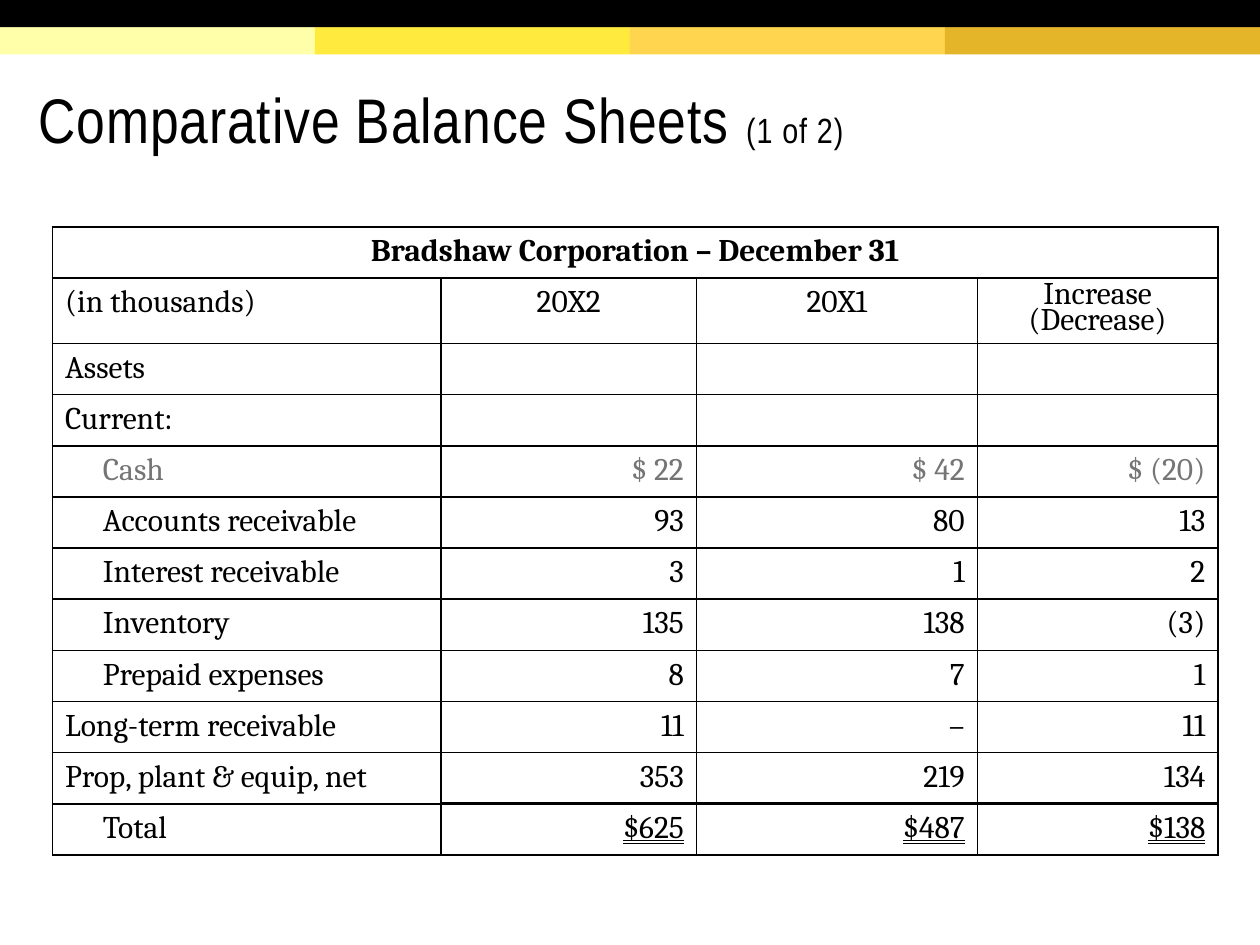
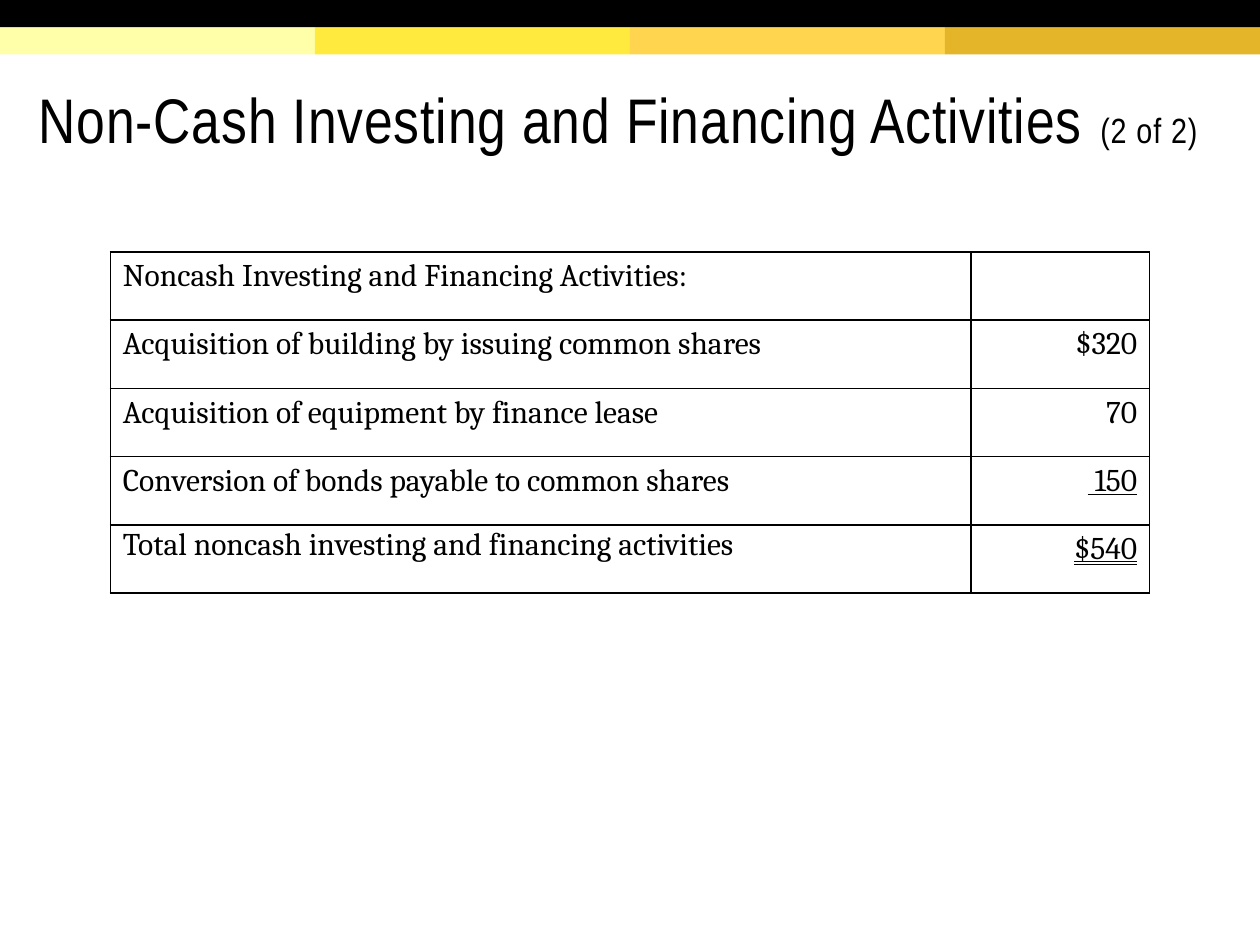
from lxml.etree import SubElement
from pptx import Presentation
from pptx.dml.color import RGBColor
from pptx.enum.shapes import MSO_SHAPE
from pptx.enum.text import MSO_ANCHOR, MSO_UNDERLINE, PP_ALIGN
from pptx.oxml.ns import qn
from pptx.util import Pt

COLORS = {"ink": "000000", "muted": "757575", "bar": "000000", "cream": "FFFFAA",
          "yellow": "FFEA3D", "amber": "FFD54F", "gold": "E4B429"}
STRIPES = ["cream", "yellow", "amber", "gold"]
TITLE_FONT, TABLE_FONT = "Arial Narrow", "Cambria"
SLIDE_W, SLIDE_H, BAND_H = 720, 540, 15.6

BALANCE = {
    "title": ("Comparative Balance Sheets ", "(1 of 2)"),
    "at": (30, 129.6), "cols": [222, 146, 160.5, 137.5], "row_h": 29.25,
    "rows": [
        ("Bradshaw Corporation – December 31", "", "", ""),
        ("(in thousands)", "20X2", "20X1", "Increase\n(Decrease)"),
        ("Assets", "", "", ""),
        ("Current:", "", "", ""),
        ("Cash", "$ 22", "$ 42", "$ (20)"),
        ("Accounts receivable", "93", "80", "13"),
        ("Interest receivable", "3", "1", "2"),
        ("Inventory", "135", "138", "(3)"),
        ("Prepaid expenses", "8", "7", "1"),
        ("Long-term receivable", "11", "–", "11"),
        ("Prop, plant & equip, net", "353", "219", "134"),
        ("Total", "$625", "$487", "$138"),
    ],
}
NONCASH = {
    "title": ("Non-Cash Investing and Financing Activities ", "(2 of 2)"),
    "at": (63, 144), "cols": [491.75, 102.25], "row_h": 39,
    "rows": [
        ("Noncash Investing and Financing Activities:", ""),
        ("Acquisition of building by issuing common shares", "$320"),
        ("Acquisition of equipment by finance lease", "70"),
        ("Conversion of bonds payable to common shares", " 150"),
        ("Total noncash investing and financing activities", "$540"),
    ],
}
INDENTED = {"Cash", "Accounts receivable", "Interest receivable", "Inventory",
            "Prepaid expenses", "Total"}


def rgb(name):
    return RGBColor.from_string(COLORS[name])


def style(p, font, size, color="ink"):
    for r in p.runs:
        r.font.name, r.font.size = font, Pt(size)
        r.font.color.rgb = rgb(color)


def add_band(s, x, y, w, color):
    sp = s.shapes.add_shape(MSO_SHAPE.RECTANGLE, Pt(x), Pt(y), Pt(w), Pt(BAND_H))
    sp.shadow.inherit = False
    sp.fill.solid()
    sp.fill.fore_color.rgb = rgb(color)
    sp.line.fill.background()


def add_title(s, parts):
    tf = s.shapes.add_textbox(Pt(15), Pt(34), Pt(683.5), Pt(70.5)).text_frame
    tf.word_wrap = True
    tf.vertical_anchor = MSO_ANCHOR.MIDDLE
    tf.margin_left = tf.margin_right = tf.margin_top = Pt(7.2)
    tf.margin_bottom = Pt(3.6)
    p = tf.paragraphs[0]
    p.line_spacing = 0.85
    for text in parts:
        p.add_run().text = text
    style(p, TITLE_FONT, 36)
    p.runs[1].font.size = Pt(20)
    for r in p.runs:
        r._r.get_or_add_rPr().set("spc", "50")


def set_borders(cell, **widths):
    """Draw all four edges 1 pt wide, or as given by side (L, R, T, B)."""
    for side in "LRTB":
        ln = SubElement(cell._tc.get_or_add_tcPr(), qn("a:ln" + side),
                        w=str(Pt(widths.get(side, 1))))
        SubElement(SubElement(ln, qn("a:solidFill")), qn("a:srgbClr"), val=COLORS["ink"])


def add_table(s, spec):
    rows, cols = spec["rows"], spec["cols"]
    x, y = spec["at"]
    table = s.shapes.add_table(len(rows), len(cols), Pt(x), Pt(y), Pt(sum(cols)),
                               Pt(spec["row_h"] * len(rows))).table
    table.first_row = table.horz_banding = False
    for column, w in zip(table.columns, cols):
        column.width = Pt(w)
    for i, row in enumerate(rows):
        table.rows[i].height = Pt(spec["row_h"])
        for j, text in enumerate(row):
            cell = table.cell(i, j)
            cell.text_frame.text = text
            for p in cell.text_frame.paragraphs:
                style(p, TABLE_FONT, 18, "muted" if row[0] == "Cash" else "ink")
                if j:
                    p.alignment = PP_ALIGN.RIGHT
                elif text in INDENTED:
                    p._p.get_or_add_pPr().set("marL", str(Pt(21.6)))
            set_borders(cell)
            cell.fill.background()
    for cell in list(table.rows[len(rows) - 1].cells)[1:]:
        cell.text_frame.paragraphs[0].runs[0].font.underline = MSO_UNDERLINE.DOUBLE_LINE
    return table


def rule_total(table):
    """Thicken the line between the last two rows, under the figures only."""
    last = len(table.rows) - 1
    for j in range(1, len(table.columns)):
        for i, side in ((last - 1, "B"), (last, "T")):
            tc_pr = table.cell(i, j)._tc.tcPr
            tc_pr.find(qn("a:ln" + side)).set("w", str(Pt(2.25)))


def add_slide(prs, spec):
    s = prs.slides.add_slide(prs.slide_layouts[6])
    w = SLIDE_W / len(STRIPES)
    for i, color in enumerate(STRIPES):
        add_band(s, i * w, BAND_H, w, color)
    add_band(s, 0, 0, SLIDE_W, "bar")
    add_title(s, spec["title"])
    return add_table(s, spec)


def main():
    prs = Presentation()
    prs.slide_width, prs.slide_height = Pt(SLIDE_W), Pt(SLIDE_H)

    balance = add_slide(prs, BALANCE)
    rule_total(balance)
    heading = balance.cell(0, 0)
    heading.merge(balance.cell(0, 3))
    heading.text_frame.paragraphs[0].alignment = PP_ALIGN.CENTER
    heading.text_frame.paragraphs[0].runs[0].font.bold = True
    for j in range(1, 4):
        for p in balance.cell(1, j).text_frame.paragraphs:
            p.alignment = PP_ALIGN.CENTER
            if j == 3:
                p.line_spacing = 0.7

    noncash = add_slide(prs, NONCASH)
    noncash.cell(3, 1).text_frame.paragraphs[0].runs[0].font.underline = True
    noncash.cell(4, 0).text_frame.paragraphs[0].line_spacing = 0.85

    prs.save("out.pptx")


if __name__ == "__main__":
    main()
